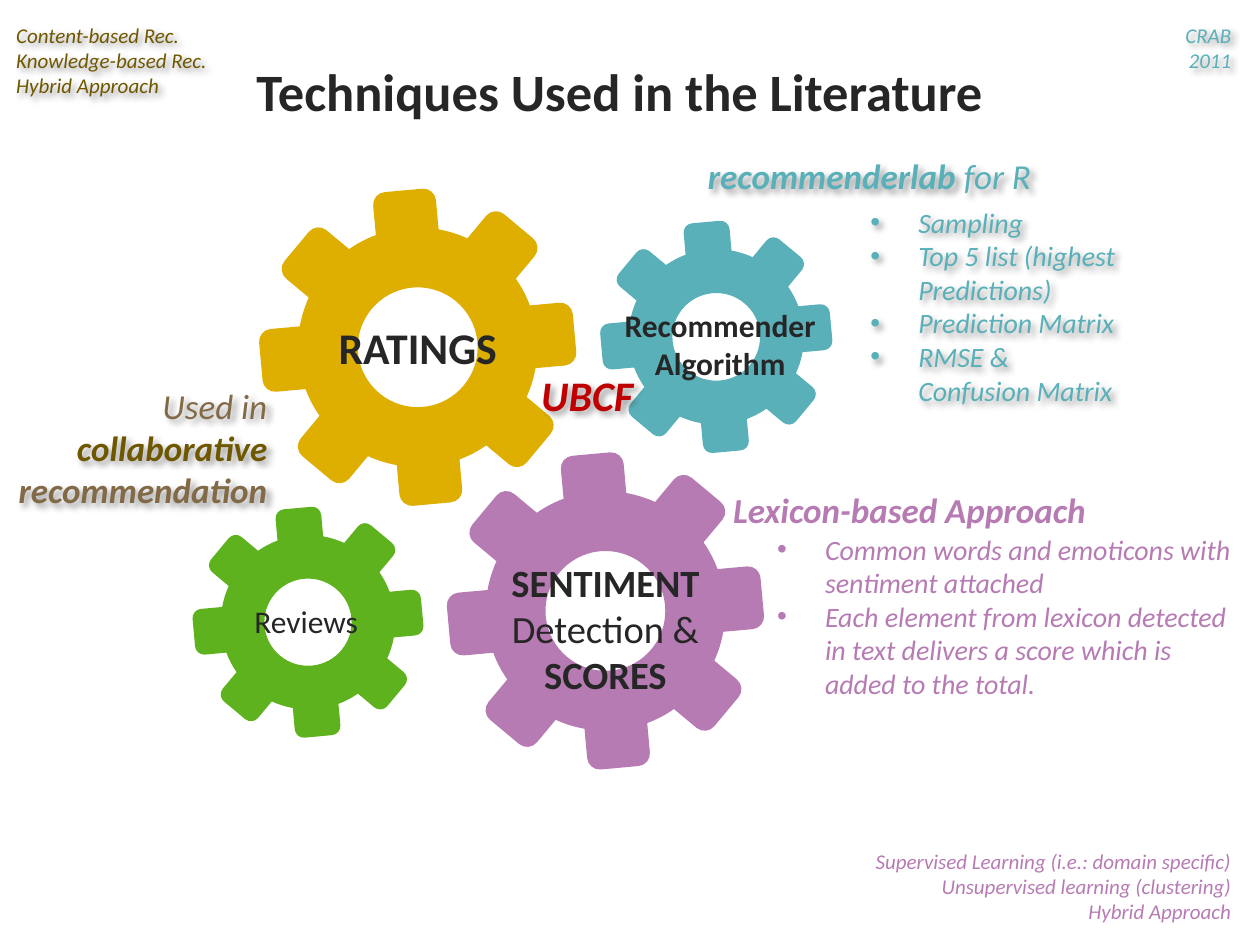
import math

import lxml.etree
import pptx
import pptx.dml.color
import pptx.enum.text
import pptx.oxml.ns
import pptx.util

W, H = 10, 7.5
ALIGN = pptx.enum.text.PP_ALIGN
LEFT, CENTER, RIGHT = ALIGN.LEFT, ALIGN.CENTER, ALIGN.RIGHT

THEME = {
    "font": "Calibri",
    "colors": {
        "ink": "262626", "gold": "DEAE00", "teal": "59B0B9", "plum": "B77BB4",
        "green": "5DB21E", "olive": "6F5700", "brown": "826A47", "red": "C00000",
    },
    "sizes": {
        "title": 30, "hero": 25, "link": 24, "core": 22, "head": 20,
        "label": 18, "list": 16, "note": 12,
    },
}

GEARS = [
    (24.45, 65.85, 9.1, "green"),
    (56.85, 35.65, 9.15, "teal"),
    (33.15, 36.75, 12.5, "gold"),
    (48.05, 64.65, 12.5, "plum"),
]
TEETH, TILT = 8, -5.2
BODY, HOLE, HALF_TOOTH, CORNER = 0.76, 0.38, 0.2, 0.08

TEXTS = [
    (21.1, 33.25, 24.1, 6.9, "hero", "ink", CENTER, "b", [["RATINGS"]]),
    (48.4, 31.75, 17.5, 9.5, "label", "ink", CENTER, "b",
     [["Recommender"], ["Algorithm"]]),
    (38.9, 58.45, 18.3, 16.1, "core", "ink", CENTER, "b",
     [["SENTIMENT", (" Detection &", False, "ink")], ["SCORES"]]),
    (19.15, 63.1, 10.3, 5.3, "label", "ink", CENTER, "", [["Reviews"]]),
    (14.2, 5.6, 70, 8.1, "title", "ink", CENTER, "b",
     [["Techniques Used in the Literature"]]),
    (57.2, 51.05, 38, 5.9, "head", "plum", LEFT, "bi",
     [["Lexicon-based Approach"]]),
    (0.3, 40, 21.9, 14.8, "head", "brown", RIGHT, "bis",
     [[("Used in ", False, "brown"), ("collaborative", True, "olive"),
       " recommendation"]]),
    (55.2, 15.7, 28.9, 5.9, "head", "teal", LEFT, "bis",
     [["recommenderlab", (" for R", False, "teal")]]),
    (40.7, 38.4, 11.8, 6.7, "link", "red", CENTER, "bis", [["UBCF"]]),
    (68.1, 21.05, 30.6, 23.7, "list", "teal", LEFT, "isl",
     [["Sampling"], ["Top 5 list (highest Predictions)"],
      ["Prediction Matrix"], ["RMSE & \nConfusion Matrix"]]),
    (89.5, 1.7, 9.2, 6.7, "note", "teal", RIGHT, "is", [["CRAB 2011"]]),
    (0.3, 1.7, 18.8, 9.5, "note", "olive", LEFT, "is",
     [["Content-based Rec.\nKnowledge-based Rec. \nHybrid Approach"]]),
    (60.7, 55.65, 38, 19.3, "list", "plum", LEFT, "il",
     [["Common words and emoticons with sentiment attached"],
      ["Each element from lexicon detected in text delivers a score "
       "which is added to the total."]]),
    (60.7, 89.1, 38, 9.5, "note", "plum", RIGHT, "i",
     [["Supervised Learning (i.e.: domain specific)"],
      ["Unsupervised learning (clustering)"], ["Hybrid Approach"]]),
]


def across(pct):
    return pptx.util.Inches(W * pct / 100)


def down(pct):
    return pptx.util.Inches(H * pct / 100)


def color(name):
    return pptx.dml.color.RGBColor.from_string(THEME["colors"][name])


def child(parent, tag, **attrs):
    return lxml.etree.SubElement(parent, pptx.oxml.ns.qn(tag), attrs)


def rotate(x, y, degrees):
    c, n = math.cos(math.radians(degrees)), math.sin(math.radians(degrees))
    return x * c - y * n, x * n + y * c


def gear_rings():
    half_root = math.degrees(math.asin(HALF_TOOTH / BODY))
    valley = 360 / TEETH - 2 * half_root
    root, _ = rotate(BODY, 0, half_root)
    h, c = HALF_TOOTH, CORNER
    tooth = [(root, -h, valley), (1 - c, -h, 0), (1, c - h, 90),
             (1, h - c, 0), (1 - c, h, 90), (root, h, 0)]
    rim = [(*rotate(x, y, TILT + k * 360 / TEETH), sweep)
           for k in range(TEETH) for x, y, sweep in tooth]
    hole = [(*rotate(HOLE, 0, -90 * k), -90) for k in range(4)]
    return rim, hole


def bend(segment, start, end, sweep):
    dx, dy = end[0] - start[0], end[1] - start[1]
    t = math.radians(sweep)
    f = 2 / 3 * math.tan(t / 4) / math.sin(t / 2)
    ax, ay = rotate(dx * f, dy * f, -sweep / 2)
    bx, by = rotate(dx * f, dy * f, sweep / 2)
    curve = lxml.etree.Element(pptx.oxml.ns.qn("a:cubicBezTo"))
    for x, y in ((start[0] + ax, start[1] + ay), (end[0] - bx, end[1] - by), end):
        child(curve, "a:pt", x=str(round(x)), y=str(round(y)))
    segment.getparent().replace(segment, curve)


def add_gear(s, cx, cy, radius, fill):
    size = across(radius)
    rings = [[(round(across(cx) + size * x), round(down(cy) + size * y), sweep)
              for x, y, sweep in ring] for ring in gear_rings()]
    fb = s.shapes.build_freeform(*rings[0][-1][:2])
    for i, ring in enumerate(rings):
        if i:
            fb.move_to(*ring[-1][:2])
        fb.add_line_segments([(x, y) for x, y, _ in ring], close=True)
    sp = fb.convert_to_shape()
    segments = iter(list(sp._element.iter(pptx.oxml.ns.qn("a:lnTo"))))
    for ring in rings:
        places = [(x - sp.left, y - sp.top) for x, y, _ in ring]
        for i, (_, _, sweep) in enumerate(ring):
            segment = next(segments)
            if sweep:
                bend(segment, places[i - 1], places[i], sweep)
    sp.shadow.inherit = False
    sp.fill.solid()
    sp.fill.fore_color.rgb = color(fill)
    sp.line.fill.background()


def add_shadow(sp):
    effects = child(sp._element.spPr, "a:effectLst")
    shadow = child(effects, "a:outerShdw", blurRad="50800", dist="38100",
                   dir="2700000", algn="tl", rotWithShape="0")
    child(child(shadow, "a:srgbClr", val="000000"), "a:alpha", val="40000")


def add_bullet(p):
    pPr = p._p.get_or_add_pPr()
    indent = pptx.util.Inches(0.38)
    pPr.set("marL", str(indent))
    pPr.set("indent", str(-indent))
    for i, (tag, key, value) in enumerate(
            [("a:buFont", "typeface", "Arial"), ("a:buChar", "char", "•")]):
        pPr.insert(i, lxml.etree.Element(pptx.oxml.ns.qn(tag), {key: value}))


def add_run(p, run):
    text, bold, fill = run if isinstance(run, tuple) else (run, None, None)
    for i, line in enumerate(text.split("\n")):
        if i:
            p.add_line_break()
        r = p.add_run()
        r.text = line
        if fill:
            r.font.bold = bold
            r.font.color.rgb = color(fill)


def add_text(s, x, y, w, h, size, fill, align, style, paragraphs):
    sp = s.shapes.add_textbox(across(x), down(y), across(w), down(h))
    if "s" in style:
        add_shadow(sp)
    tf = sp.text_frame
    tf.word_wrap = True
    tf.auto_size = pptx.enum.text.MSO_AUTO_SIZE.SHAPE_TO_FIT_TEXT
    for i, runs in enumerate(paragraphs):
        p = tf.add_paragraph() if i else tf.paragraphs[0]
        p.alignment = align
        p.font.name = THEME["font"]
        p.font.size = pptx.util.Pt(THEME["sizes"][size])
        p.font.bold = "b" in style
        p.font.italic = "i" in style
        p.font.color.rgb = color(fill)
        if "l" in style:
            add_bullet(p)
        for run in runs:
            add_run(p, run)


def main():
    prs = pptx.Presentation()
    prs.slide_width, prs.slide_height = across(100), down(100)
    s = prs.slides.add_slide(prs.slide_layouts[6])
    for gear in GEARS:
        add_gear(s, *gear)
    for text in TEXTS:
        add_text(s, *text)
    prs.save("out.pptx")


if __name__ == "__main__":
    main()
